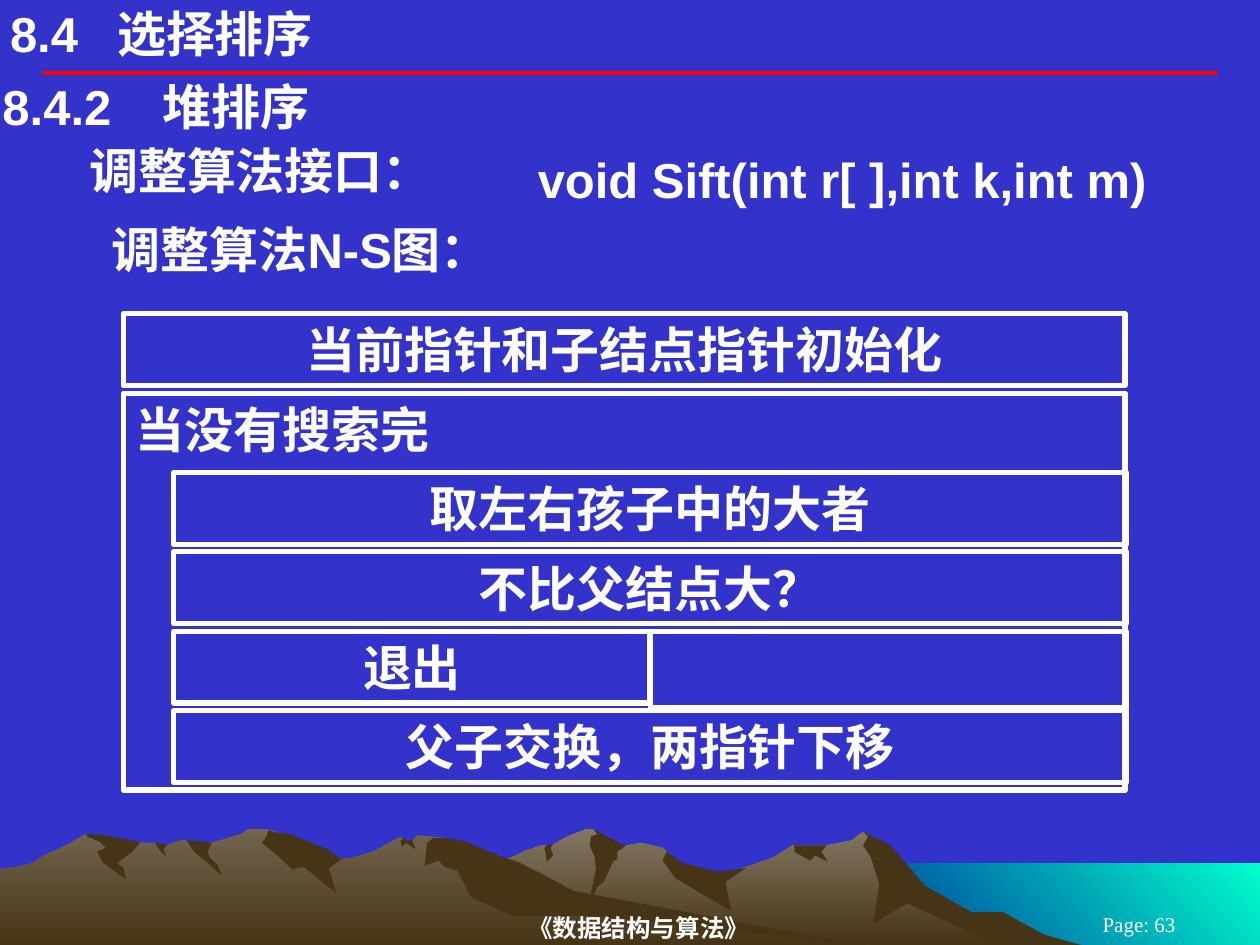
from lxml.etree import SubElement
from pptx import Presentation
from pptx.dml.color import RGBColor
from pptx.enum.shapes import MSO_CONNECTOR, MSO_SHAPE
from pptx.enum.text import MSO_ANCHOR, PP_ALIGN
from pptx.oxml.ns import qn
from pptx.util import Inches, Pt

deck = Presentation()
deck.slide_width = Inches(10)
deck.slide_height = Inches(7.5)
page = deck.slides.add_slide(deck.slide_layouts[6])
unit = deck.slide_width // 1000


def paint(target, color):
    target.rgb = RGBColor.from_string(color)


def write(box, text, align=PP_ALIGN.LEFT, size=28, font="Arial", bold=True, inset=(10, 5)):
    frame = box.text_frame
    frame.word_wrap = True
    frame.margin_left = frame.margin_right = inset[0] * unit
    frame.margin_top = frame.margin_bottom = inset[1] * unit
    para = frame.paragraphs[0]
    para.alignment = align
    span = para.add_run()
    span.text = text
    span.font.size = Pt(size)
    span.font.name = font
    span.font.bold = bold
    paint(span.font.color, "FFFFFF")
    return para


page.background.fill.solid()
paint(page.background.fill.fore_color, "3333CC")

water = [(1000, 750), (683, 750), (683, 685), (1000, 685)]
right_range = [
    (802, 740), (778, 727), (764, 723), (723, 698), (702, 671), (685, 660), (676, 667),
    (656, 671), (629, 671), (613, 681), (566, 697), (536, 690), (529, 676), (526, 673),
    (509, 669), (486, 673), (474, 661), (471, 658), (465, 658), (450, 664), (438, 671),
    (430, 671), (418, 675), (405, 681), (394, 685), (355, 698), (327, 709), (277, 739),
    (258, 750), (821, 750),
]
left_range = [
    (690, 750), (667, 748), (432, 712), (354, 665), (331, 663), (327, 668), (323, 668),
    (318, 664), (296, 676), (279, 681), (271, 682), (260, 676), (236, 681), (223, 663),
    (219, 660), (212, 658), (197, 658), (191, 662), (178, 666), (160, 671), (148, 667),
    (143, 667), (132, 671), (123, 669), (111, 669), (94, 671), (68, 662), (56, 669),
    (46, 674), (35, 679), (26, 685), (14, 688), (0, 690), (0, 750),
]
right_shadows = [
    [(796, 724), (771, 724), (734, 703), (707, 671), (685, 660), (689, 664), (685, 671),
     (691, 680), (698, 702), (693, 733), (720, 717), (792, 750), (858, 750), (829, 742)],
    [(471, 658), (474, 662), (469, 664), (468, 671), (472, 680), (473, 690), (465, 727),
     (474, 704), (479, 700), (487, 683), (490, 682), (490, 676), (497, 671), (493, 670)],
    [(529, 676), (526, 683), (536, 697), (580, 723), (576, 700), (592, 689), (570, 692),
     (542, 685)],
    [(650, 671), (630, 671), (631, 675), (630, 676), (643, 683), (647, 679), (657, 684),
     (652, 676), (656, 671)],
    [(433, 677), (432, 673), (434, 671), (439, 670), (437, 673), (439, 679), (434, 684)],
]
left_shadows = [
    [(212, 663), (208, 669), (219, 678), (232, 690), (241, 688), (267, 709), (261, 689),
     (271, 682), (260, 674), (238, 665), (230, 662), (220, 661), (213, 659)],
    [(370, 668), (354, 665), (344, 665), (339, 669), (337, 687), (348, 683), (353, 688),
     (363, 691), (374, 712), (407, 727), (472, 727), (690, 750), (683, 750), (455, 707),
     (427, 692), (411, 684), (401, 681), (386, 675)],
    [(318, 667), (320, 666), (318, 664), (323, 667), (327, 667), (330, 674), (322, 669),
     (319, 672)],
    [(154, 667), (168, 669), (165, 676), (166, 680), (173, 687), (176, 695), (165, 685),
     (154, 676), (148, 667)],
    [(133, 670), (130, 674), (132, 680), (127, 675), (123, 669)],
    [(109, 668), (111, 669), (105, 676), (93, 685), (98, 689), (100, 698), (82, 685),
     (77, 676), (84, 673), (79, 668), (69, 664), (69, 662), (84, 663), (94, 665)],
]

scenery = [(water, ["00FFCC", "003399"], 225), (right_range, ["837763", "463416"], 270)]
scenery += [(shadow, ["463416"], 0) for shadow in right_shadows]
scenery += [(left_range, ["72644E", "463416"], 270)]
scenery += [(shadow, ["463416"], 0) for shadow in left_shadows]

for points, colors, angle in scenery:
    builder = page.shapes.build_freeform(*points[0], scale=unit)
    builder.add_line_segments(points[1:], close=True)
    outline = builder.convert_to_shape()
    outline.shadow.inherit = False
    outline.line.fill.background()
    if len(colors) == 1:
        outline.fill.solid()
        paint(outline.fill.fore_color, colors[0])
    else:
        outline.fill.gradient()
        outline.fill.gradient_angle = angle
        for stop, color in zip(outline.fill.gradient_stops, colors):
            paint(stop.color, color)

rule = page.shapes.add_connector(
    MSO_CONNECTOR.STRAIGHT, 33 * unit, 58 * unit, 967 * unit, 58 * unit)
rule.line.width = Pt(2.25)
paint(rule.line.color, "FF0000")
SubElement(rule._element.spPr, qn("a:effectLst"))

footers = [
    (208, 722, 598, 28, "《数据结构与算法》", 14, True, (0, 1)),
    (825, 725, 158, 17, "Page: 63", 12, False, (10, 5)),
]
for left, top, width, height, text, size, bold, inset in footers:
    box = page.shapes.add_textbox(left * unit, top * unit, width * unit, height * unit)
    box.text_frame.vertical_anchor = MSO_ANCHOR.MIDDLE
    write(box, text, PP_ALIGN.CENTER, size, "Times New Roman", bold, inset)

headings = [
    (8, 3, 650, 47, "8.4\t选择排序", (0, 0), 0, 85),
    (0, 60, 1000, 49, "8.4.2\t堆排序", (2, 1), 0, 127),
    (0, 107, 996, 57, "调整算法接口：", (10, 5), 61, 0),
    (417, 114, 516, 57, "void Sift(int r[ ],int k,int m)", (10, 5), 0, 0),
    (0, 169, 992, 57, "调整算法N-S图：", (10, 5), 79, 0),
]
for left, top, width, height, text, inset, indent, tab in headings:
    box = page.shapes.add_textbox(left * unit, top * unit, width * unit, height * unit)
    para = write(box, text, inset=inset)
    properties = para._p.get_or_add_pPr()
    if indent:
        properties.set("marL", str(indent * unit))
        properties.set("indent", "0")
    if tab:
        tabs = SubElement(properties, qn("a:tabLst"))
        SubElement(tabs, qn("a:tab"), pos=str(tab * unit), algn="l")

chart_top, row_step, row_height = 249, 63, 57
outer, inner, half = 98, 138, 378
chart_rows = [
    (0, outer, 795, row_height, "当前指针和子结点指针初始化", PP_ALIGN.CENTER),
    (1, outer, 795, 5 * row_step, "当没有搜索完", PP_ALIGN.LEFT),
    (2, inner, 2 * half, row_height, "取左右孩子中的大者", PP_ALIGN.CENTER),
    (3, inner, 2 * half, row_height, "不比父结点大？", PP_ALIGN.CENTER),
    (4, inner, half, row_height, "退出", PP_ALIGN.CENTER),
    (4, inner + half, half, 61, "", PP_ALIGN.CENTER),
    (5, inner, 2 * half, row_height, "父子交换，两指针下移", PP_ALIGN.CENTER),
]
for row, left, width, height, text, align in chart_rows:
    top = chart_top + row * row_step
    box = page.shapes.add_shape(
        MSO_SHAPE.RECTANGLE, left * unit, top * unit, width * unit, height * unit)
    box.shadow.inherit = False
    box.fill.background()
    box.line.width = Pt(3)
    paint(box.line.color, "FFFFFF")
    box.text_frame.vertical_anchor = MSO_ANCHOR.TOP
    if text:
        write(box, text, align)

deck.save("out.pptx")
